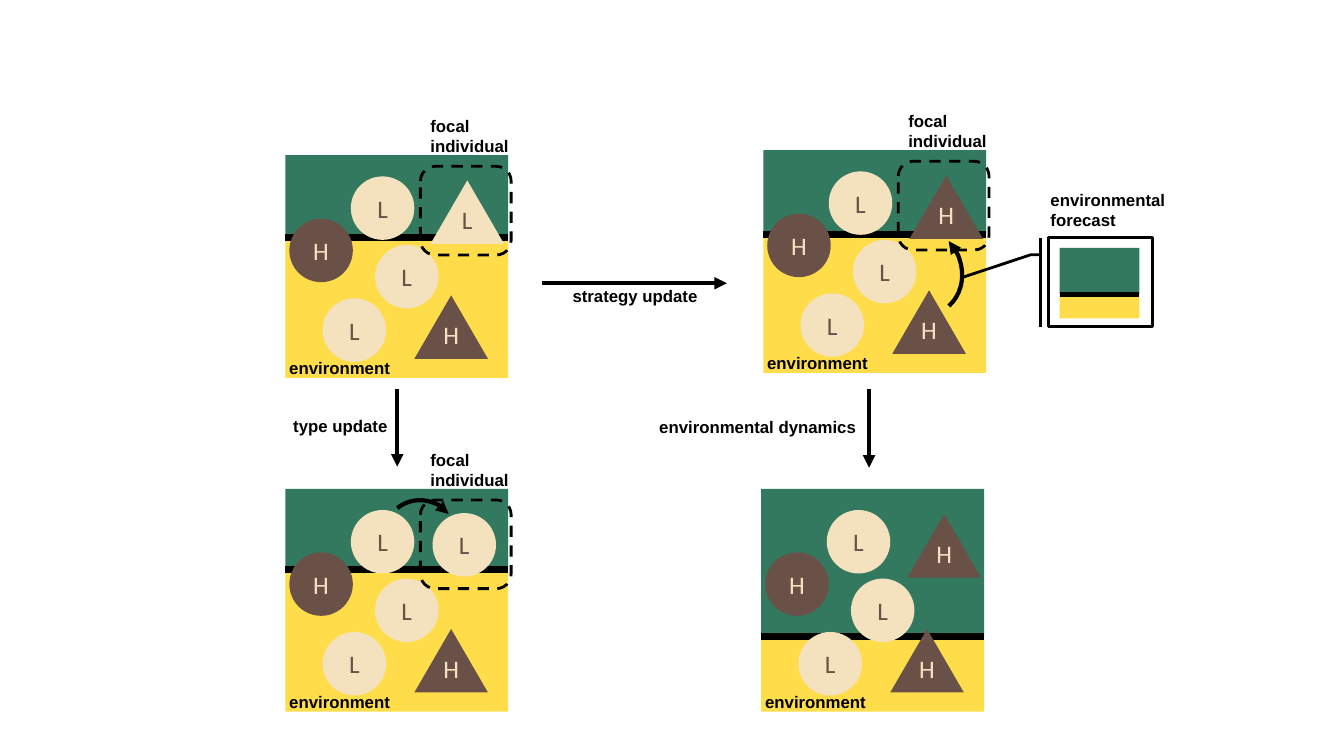
import pptx
import pptx.util
import pptx.dml.color
import pptx.enum.dml
import pptx.enum.shapes
import pptx.enum.text
import pptx.oxml.ns
import lxml.etree
from dataclasses import dataclass

Pt = pptx.util.Pt
RGB = pptx.dml.color.RGBColor.from_string
MSO = pptx.enum.shapes.MSO_SHAPE
qn = pptx.oxml.ns.qn


@dataclass(frozen=True)
class Theme:
    grass: str = "005838"
    sand: str = "FFD51D"
    cream: str = "F4E1BE"
    brown: str = "6A5147"
    ink: str = "000000"
    paper: str = "FFFFFF"
    label_size: int = 12
    type_size: int = 18


theme = Theme()
LABEL = {"name": "Arial", "size": Pt(theme.label_size), "bold": True}
TYPE = {"name": "Calibri", "size": Pt(theme.type_size), "bold": False}
TYPE_COLORS = {"L": (theme.cream, theme.brown), "H": (theme.brown, theme.cream)}

prs = pptx.Presentation()
prs.slide_width, prs.slide_height = pptx.util.Inches(13.33), pptx.util.Inches(7.5)
COL, ROW = prs.slide_width / 1333, prs.slide_height / 750
s = prs.slides.add_slide(prs.slide_layouts[6])


def put(kind, x, y, w, h, fill=None, alpha=100):
    sp = s.shapes.add_shape(kind, round(x * COL), round(y * ROW), round(w * COL), round(h * ROW))
    sp.shadow.inherit = False
    sp.line.fill.background()
    if fill is None:
        sp.fill.background()
        return sp
    sp.fill.solid()
    sp.fill.fore_color.rgb = RGB(fill)
    if alpha < 100:
        clr = sp._element.spPr.find(qn("a:solidFill"))[0]
        lxml.etree.SubElement(clr, qn("a:alpha"), val=str(alpha * 1000))
    return sp


def stroke(sp, weight, dash=None, arrow=None):
    sp.line.width = Pt(weight)
    sp.line.fill.solid()
    sp.line.fill.fore_color.rgb = RGB(theme.ink)
    if dash:
        sp.line.dash_style = dash
    spPr = sp._element.spPr
    if arrow:
        lxml.etree.SubElement(spPr.find(qn("a:ln")), qn("a:" + arrow), type="triangle")
    if spPr.find(qn("a:effectLst")) is None:
        lxml.etree.SubElement(spPr, qn("a:effectLst"))


labels = [
    (1032, 183, 135, 50, "environmental\nforecast"),
    (558, 279, 145, 30, "strategy update"),
    (281, 408, 115, 30, "type update"),
    (644, 409, 217, 30, "environmental dynamics"),
]
arrows = [(538, 281, 721, 281), (394, 386, 394, 463), (862, 386, 862, 464)]

residents = [
    (MSO.OVAL, "L", 65, 21),
    (MSO.OVAL, "H", 4, 63),
    (MSO.OVAL, "L", 37, 142),
    (MSO.OVAL, "L", 89, 89),
    (MSO.ISOSCELES_TRIANGLE, "H", 128, 139),
]
low_triangle = (MSO.ISOSCELES_TRIANGLE, "L", 144, 25)
high_triangle = (MSO.ISOSCELES_TRIANGLE, "H", 145, 25)
low_circle = (MSO.OVAL, "L", 146, 24)

scenes = [
    (283, 154, 221, 221, 82, 5, low_triangle, True),
    (757, 149, 221, 221, 84, 5, high_triangle, True),
    (283, 485, 221, 221, 80, 5, low_circle, True),
    (755, 485, 221, 221, 146, 5, high_triangle, False),
    (1051, 246, 79, 70, 46, 3.5, None, False),
]
for x, y, w, h, horizon, weight, focal, framed in scenes:
    if focal is None:
        callout = put(MSO.LINE_CALLOUT_2_BORDER_AND_ACCENT_BAR, 1040, 236, 103, 88, theme.paper)
        for i, value in enumerate((0.19, -0.08, 0.19, -0.17, 0.45, -0.84)):
            callout.adjustments[i] = value
        stroke(callout, 2)
    put(MSO.RECTANGLE, x, y + horizon, w, h - horizon, theme.sand, 80)
    put(MSO.RECTANGLE, x, y, w, horizon, theme.grass, 80)
    edge = round((y + horizon) * ROW)
    line = s.shapes.add_connector(1, round(x * COL), edge, round((x + w) * COL), edge)
    stroke(line, weight)
    if focal is None:
        continue

    for kind, letter, dx, dy in residents + [focal]:
        fill, ink = TYPE_COLORS[letter]
        triangle = kind == MSO.ISOSCELES_TRIANGLE
        sp = put(kind, x + dx, y + dy, 73 if triangle else 63, 63, fill)
        tf = sp.text_frame
        frame = {
            "margin_left": 0,
            "margin_right": 0,
            "margin_top": round(5 * ROW),
            "margin_bottom": round((22 if triangle else 5) * ROW),
            "vertical_anchor": pptx.enum.text.MSO_ANCHOR.MIDDLE,
        }
        for name, value in frame.items():
            setattr(tf, name, value)
        p = tf.paragraphs[0]
        p.alignment = pptx.enum.text.PP_ALIGN.CENTER
        r = p.add_run()
        r.text = letter
        for name, value in TYPE.items():
            setattr(r.font, name, value)
        r.font.color.rgb = RGB(ink)

    labels.append((x - 6, y + 196, 121, 30, "environment"))
    if framed:
        focus = put(MSO.ROUNDED_RECTANGLE, x + 134, y + 11, 90, 88)
        stroke(focus, 2, dash=pptx.enum.dml.MSO_LINE.DASH)
        labels.append((x + 134, y - 44, 99, 50, "focal\nindividual"))

for x, y, w, h, angle, arrow in [
    (861, 225, 96, 86, 48, "headEnd"),
    (381, 496, 72, 73, 321.1, "tailEnd"),
]:
    arc = put(MSO.ARC, x, y, w, h)
    arc.rotation = angle
    stroke(arc, 3, arrow=arrow)

for x1, y1, x2, y2 in arrows:
    line = s.shapes.add_connector(
        1, round(x1 * COL), round(y1 * ROW), round(x2 * COL), round(y2 * ROW)
    )
    stroke(line, 3, arrow="tailEnd")

for x, y, w, h, text in labels:
    sp = s.shapes.add_textbox(round(x * COL), round(y * ROW), round(w * COL), round(h * ROW))
    tf = sp.text_frame
    tf.word_wrap = False
    tf.auto_size = pptx.enum.text.MSO_AUTO_SIZE.SHAPE_TO_FIT_TEXT
    tf.text = text
    for p in tf.paragraphs:
        for r in p.runs:
            for name, value in LABEL.items():
                setattr(r.font, name, value)
            r.font.color.rgb = RGB(theme.ink)

prs.save("out.pptx")
